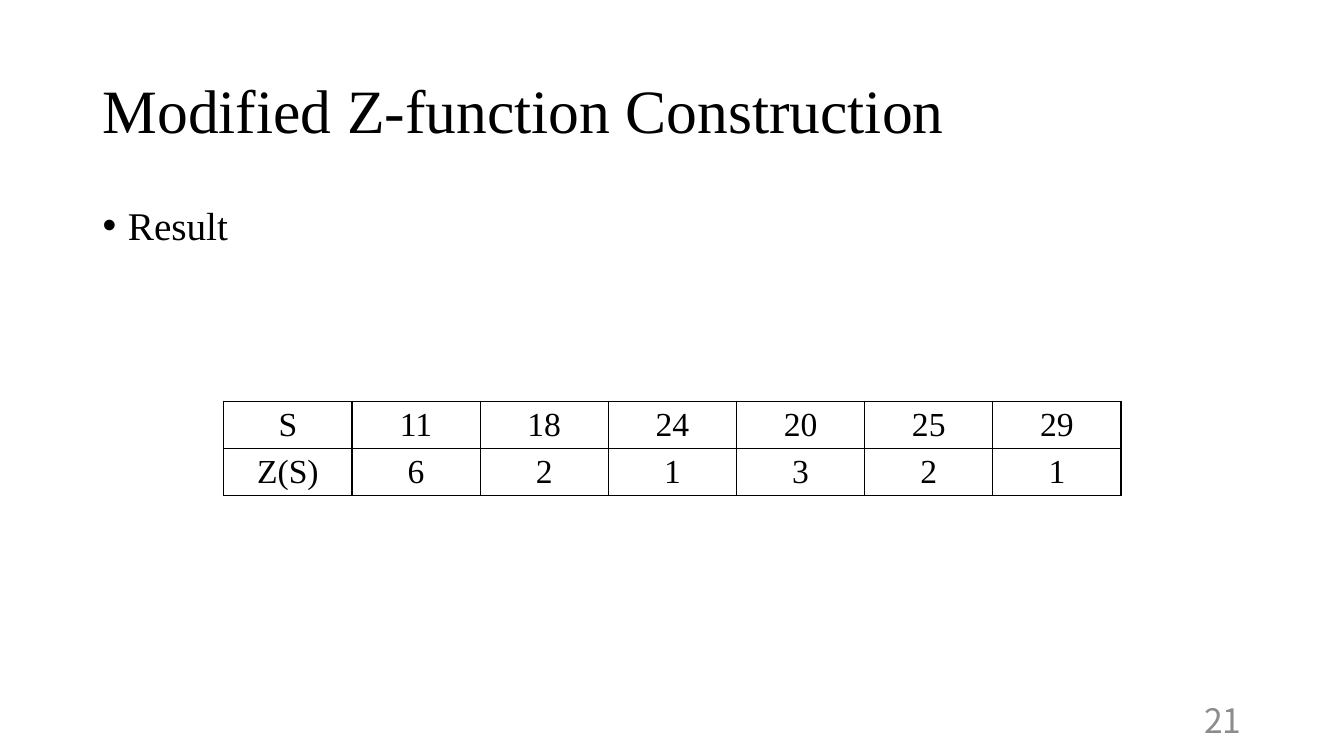
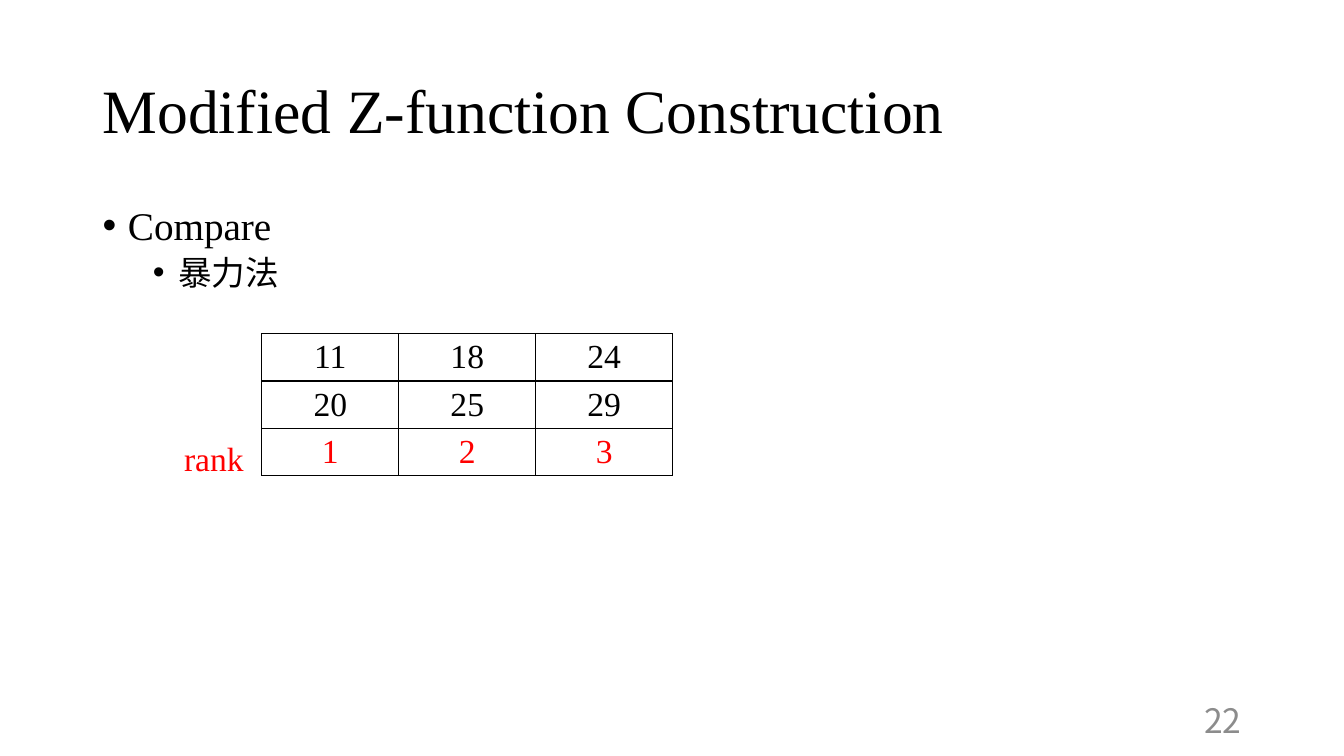
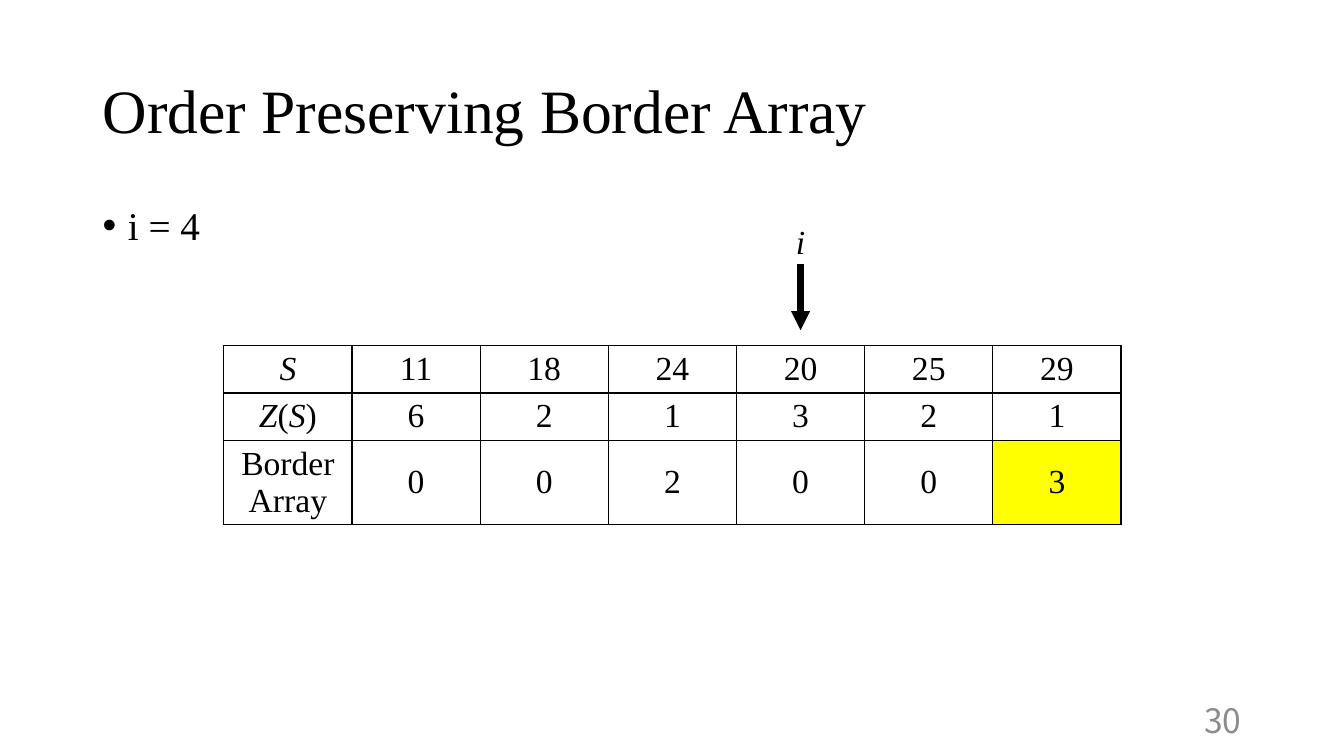
from dataclasses import dataclass, replace

from lxml import etree
from pptx import Presentation
from pptx.dml.color import RGBColor
from pptx.enum.shapes import MSO_CONNECTOR
from pptx.enum.text import MSO_ANCHOR, MSO_AUTO_SIZE, PP_ALIGN
from pptx.oxml.ns import qn
from pptx.util import Cm, Pt

STRAIGHT = MSO_CONNECTOR.STRAIGHT
MIDDLE, TOP = MSO_ANCHOR.MIDDLE, MSO_ANCHOR.TOP
LEFT, CENTER, RIGHT = PP_ALIGN.LEFT, PP_ALIGN.CENTER, PP_ALIGN.RIGHT
BOTTOM_SIDE = 2


@dataclass(frozen=True)
class TextStyle:
    size: int
    font: str = "Times New Roman"
    color: str = "000000"
    italic: bool = False


@dataclass(frozen=True)
class Theme:
    line_color: str = "000000"
    highlight: str = "FFFF00"
    border_width: float = 1
    arrow_width: float = 4.5
    line_spacing: float = 0.9
    title: TextStyle = TextStyle(44)
    bullet: TextStyle = TextStyle(28)
    sub_bullet: TextStyle = TextStyle(24, "Noto Sans CJK SC")
    plain: TextStyle = TextStyle(24)
    italic: TextStyle = TextStyle(24, italic=True)
    rank: TextStyle = TextStyle(24, color="FF0000")
    page_number: TextStyle = TextStyle(24, "Noto Sans CJK JP", "8C8C8C")


THEME = Theme()


@dataclass(frozen=True)
class Span:
    text: str
    style: TextStyle = THEME.plain


@dataclass(frozen=True)
class Area:
    """A rectangle in centimetres."""
    left: float
    top: float
    width: float
    height: float


@dataclass(frozen=True)
class Bullet:
    text: str
    level: int = 0


@dataclass(frozen=True)
class Grid:
    left: float
    top: float
    column_width: float
    rows: tuple[tuple[tuple[Span, ...], ...], ...]
    highlighted: tuple[tuple[int, int], ...] = ()
    row_height: float = 1.04

    def column_center(self, column: int) -> float:
        return self.left + (column + 0.5) * self.column_width


TITLE_AREA = Area(2.33, 1.01, 29.21, 3.68)
BODY_AREA = Area(2.33, 5.08, 29.21, 12.09)
NUMBER_AREA = Area(23.92, 17.65, 7.62, 1.01)


# Text
def add_span(para, span: Span) -> None:
    run = para.add_run()
    run.text = span.text
    font = run.font
    font.size = Pt(span.style.size)
    font.italic = span.style.italic
    font.color.rgb = RGBColor.from_string(span.style.color)
    font.name = span.style.font
    east_asian = etree.Element(qn("a:ea"), typeface=span.style.font)
    run.font._element.find(qn("a:latin")).addnext(east_asian)


def place(shape, area: Area) -> None:
    shape.left, shape.top = Cm(area.left), Cm(area.top)
    shape.width, shape.height = Cm(area.width), Cm(area.height)


def prepare_frame(shape, anchor):
    frame = shape.text_frame
    frame.word_wrap = True
    frame.auto_size = MSO_AUTO_SIZE.NONE
    frame.vertical_anchor = anchor
    return frame


def add_label(shapes, area: Area, span: Span, align=LEFT, anchor=TOP):
    box = shapes.add_textbox(0, 0, 0, 0)
    place(box, area)
    para = prepare_frame(box, anchor).paragraphs[0]
    para.alignment = align
    add_span(para, span)
    return box


def set_bullet(para, level: int) -> None:
    properties = para._p.get_or_add_pPr()
    properties.set("marL", str(Cm(0.64 + 1.27 * level)))
    properties.set("indent", str(-Cm(0.64)))
    etree.SubElement(properties, qn("a:buFont"), typeface="Arial")
    etree.SubElement(properties, qn("a:buChar"), char="•")


# Shared page: title, bullets and page number
def add_page(deck, title: str, bullets: tuple[Bullet, ...], number: int):
    page = deck.slides.add_slide(deck.slide_layouts[1])
    heading = page.shapes.title
    place(heading, TITLE_AREA)
    para = prepare_frame(heading, MIDDLE).paragraphs[0]
    para.alignment = LEFT
    para.line_spacing = THEME.line_spacing
    add_span(para, Span(title, THEME.title))

    body = page.placeholders[1]
    place(body, BODY_AREA)
    frame = prepare_frame(body, TOP)
    for index, bullet in enumerate(bullets):
        para = frame.add_paragraph() if index else frame.paragraphs[0]
        para.level = bullet.level
        set_bullet(para, bullet.level)
        para.line_spacing = THEME.line_spacing
        para.space_before = Pt(5 if index else 0)
        style = THEME.sub_bullet if bullet.level else THEME.bullet
        add_span(para, Span(bullet.text, style))

    add_label(page.shapes, NUMBER_AREA, Span(str(number), THEME.page_number),
              RIGHT, MIDDLE)
    return page


# Tables
def set_borders(cell) -> None:
    properties = cell._tc.get_or_add_tcPr()
    for side in ("lnL", "lnR", "lnT", "lnB"):
        line = etree.SubElement(properties, qn(f"a:{side}"),
                                w=str(Pt(THEME.border_width)))
        fill = etree.SubElement(line, qn("a:solidFill"))
        etree.SubElement(fill, qn("a:srgbClr"), val=THEME.line_color)


def add_grid(page, grid: Grid) -> None:
    row_count, column_count = len(grid.rows), len(grid.rows[0])
    table = page.shapes.add_table(
        row_count, column_count, Cm(grid.left), Cm(grid.top),
        Cm(grid.column_width * column_count),
        Cm(grid.row_height * row_count)).table
    table.first_row = table.horz_banding = False
    for row, contents in enumerate(grid.rows):
        for column, spans in enumerate(contents):
            cell = table.cell(row, column)
            set_borders(cell)
            if (row, column) in grid.highlighted:
                cell.fill.solid()
                cell.fill.fore_color.rgb = RGBColor.from_string(THEME.highlight)
            else:
                cell.fill.background()
            cell.vertical_anchor = MIDDLE
            para = cell.text_frame.paragraphs[0]
            para.alignment = CENTER
            for span in spans:
                add_span(para, span)


def cells(*values: str | int, style: TextStyle = THEME.plain):
    return tuple((Span(str(value), style),) for value in values)


# Index pointer: label with an arrow below it
def add_pointer(page, center: float, top: float, text: str) -> None:
    width, height, arrow_length = 1.22, 1.2, 1.68
    group = page.shapes.add_group_shape()
    label = add_label(group.shapes, Area(center - width / 2, top, width, height),
                      Span(text, THEME.italic), CENTER)
    start = top + height
    arrow = group.shapes.add_connector(STRAIGHT, Cm(center), Cm(start),
                                       Cm(center), Cm(start + arrow_length))
    arrow.begin_connect(label, BOTTOM_SIDE)
    arrow.line.width = Pt(THEME.arrow_width)
    arrow.line.color.rgb = RGBColor.from_string(THEME.line_color)
    etree.SubElement(arrow.line._get_or_add_ln(), qn("a:tailEnd"), type="triangle")
    etree.SubElement(arrow._element.spPr, qn("a:effectLst"))


def main() -> None:
    deck = Presentation()
    deck.slide_width, deck.slide_height = Cm(33.87), Cm(19.05)

    first_half, second_half = cells(11, 18, 24), cells(20, 25, 29)
    sequence = first_half + second_half
    z_values = cells(6, 2, 1, 3, 2, 1)
    z_title = "Modified Z-function Construction"

    # Z-function result
    page = add_page(deck, z_title, (Bullet("Result"),), 21)
    result = Grid(5.64, 10.11, 3.23, (cells("S") + sequence,
                                      cells("Z(S)") + z_values))
    add_grid(page, result)

    # Rank comparison
    page = add_page(deck, z_title, (Bullet("Compare"), Bullet("暴力法", 1)), 22)
    ranks = cells(1, 2, 3, style=THEME.rank)
    add_grid(page, Grid(6.6, 8.41, 3.45, (first_half, second_half, ranks)))
    add_label(page.shapes, Area(4.39, 10.92, 2.1, 1.27), Span("rank", THEME.rank))

    # Border array
    page = add_page(deck, "Order Preserving Border Array", (Bullet("i = 4"),), 30)
    z_name = (Span("Z", THEME.italic), Span("("),
              Span("S", THEME.italic), Span(")"))
    border = replace(result, top=8.71, highlighted=((2, 6),), rows=(
        cells("S", style=THEME.italic) + sequence,
        (z_name,) + z_values,
        cells("Border Array", 0, 0, 2, 0, 0, 3)))
    add_grid(page, border)
    add_pointer(page, border.column_center(4), 5.44, "i")

    deck.save("out.pptx")


if __name__ == "__main__":
    main()
